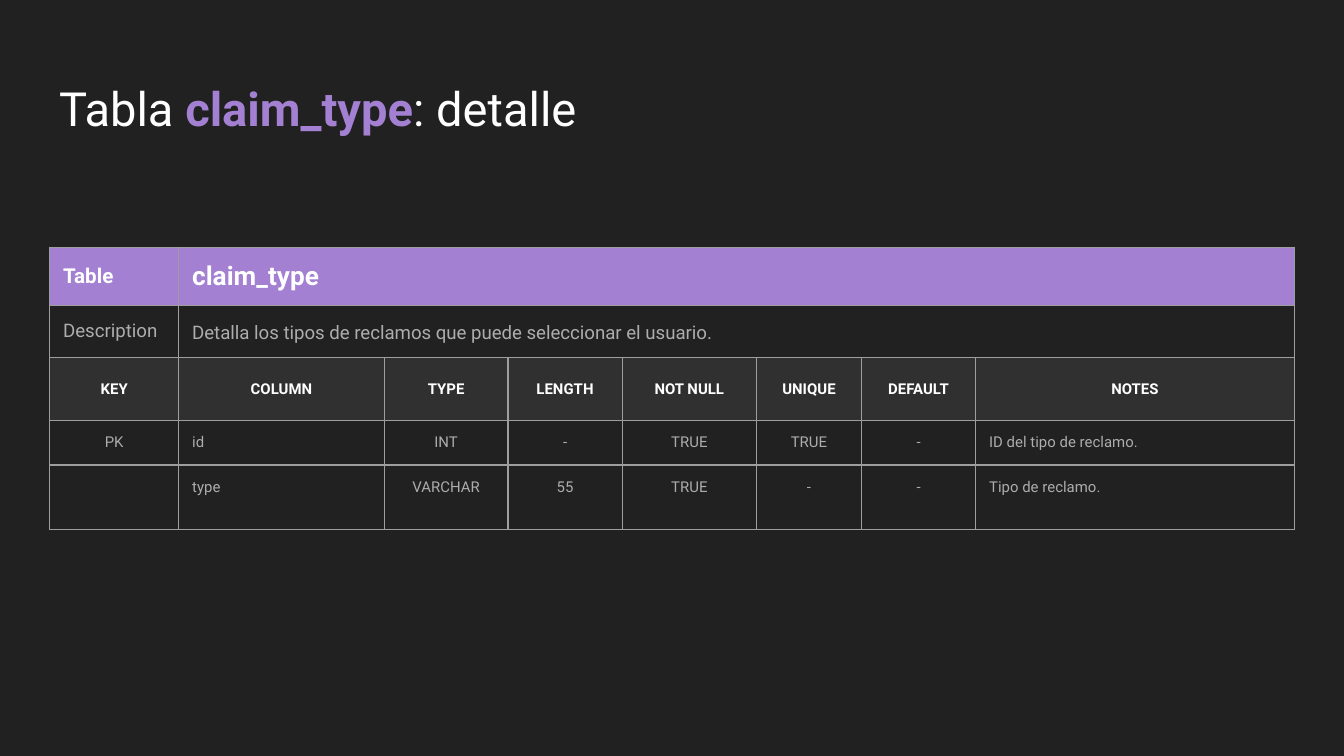
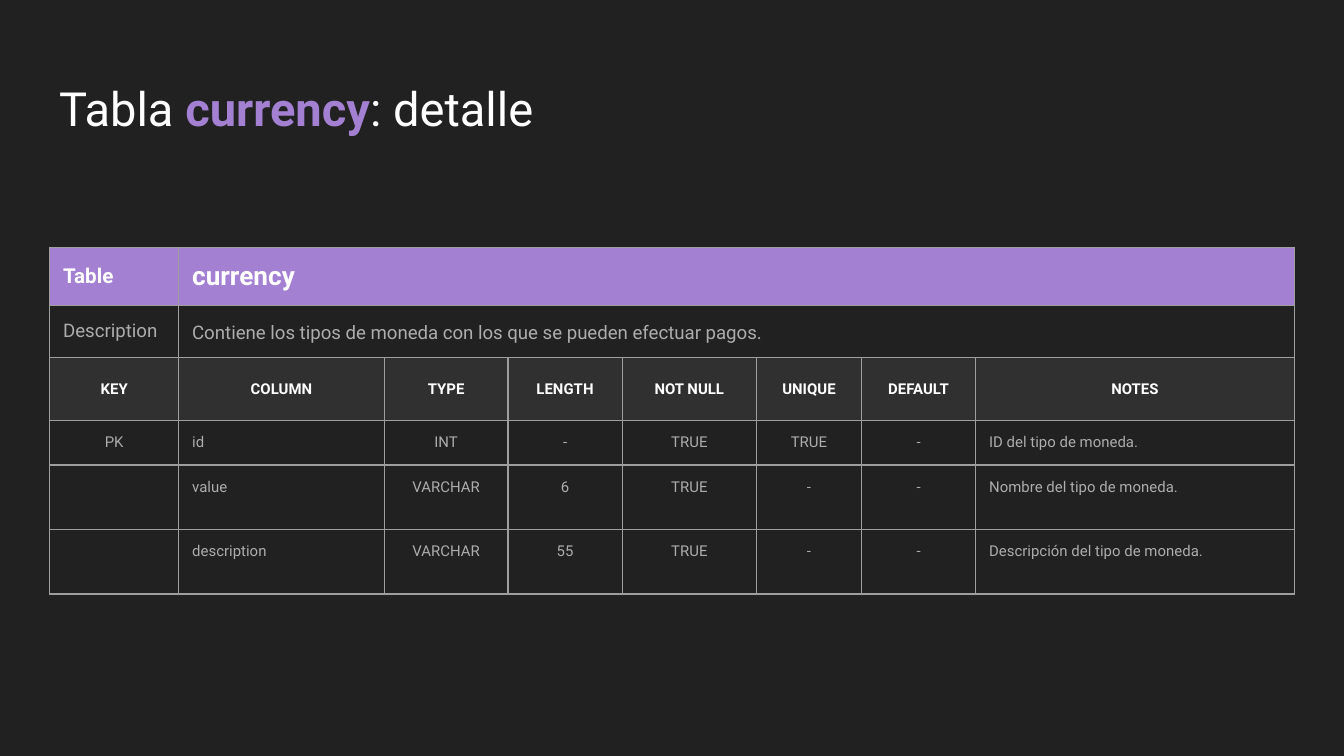
from dataclasses import dataclass

from lxml.etree import SubElement
from pptx import Presentation
from pptx.dml.color import RGBColor as RGB
from pptx.enum.text import MSO_ANCHOR as ANCHOR, MSO_AUTO_SIZE as AUTO_SIZE, PP_ALIGN as ALIGN
from pptx.oxml.ns import qn
from pptx.util import Inches, Pt


@dataclass(frozen=True)
class Theme:
    font: str = "Roboto"
    background: str = "212121"
    header: str = "303030"
    accent: str = "A380D1"
    white: str = "FFFFFF"
    muted: str = "ADADAD"
    border: str = "9E9E9E"
    border_width: float = 0.75
    title_size: float = 25.2
    name_size: int = 14
    label_size: int = 11
    description_size: int = 10
    grid_size: int = 8


THEME = Theme()
TITLE_ONLY = 5
SLIDE_WIDTH = Inches(10)
SLIDE_HEIGHT = SLIDE_WIDTH * 9 // 16
TABLE_LEFT, TABLE_TOP = 0.37, 1.84
INSET = Inches(0.1)
MARGINS = {f"margin_{side}": INSET for side in ("left", "top", "right", "bottom")}

HEADINGS = ("KEY", "COLUMN", "TYPE", "LENGTH", "NOT NULL", "UNIQUE", "DEFAULT", "NOTES")
COLUMN_WIDTHS = (0.96, 1.53, 0.92, 0.85, 1, 0.78, 0.85, 2.37)
LEFT_ALIGNED = ("COLUMN", "NOTES")
TOP_HEIGHTS = (0.43, 0.39, 0.47)
KEY_HEIGHT, FIELD_HEIGHT = 0.33, 0.48

ENTITIES = (
    (
        "claim_type",
        "Detalla los tipos de reclamos que puede seleccionar el usuario.",
        (
            ("PK", "id", "INT", "-", "TRUE", "TRUE", "-", "ID del tipo de reclamo."),
            ("", "type", "VARCHAR", "55", "TRUE", "-", "-", "Tipo de reclamo."),
        ),
    ),
    (
        "currency",
        "Contiene los tipos de moneda con los que se pueden efectuar pagos.",
        (
            ("PK", "id", "INT", "-", "TRUE", "TRUE", "-", "ID del tipo de moneda."),
            ("", "value", "VARCHAR", "6", "TRUE", "-", "-", "Nombre del tipo de moneda."),
            ("", "description", "VARCHAR", "55", "TRUE", "-", "-",
             "Descripción del tipo de moneda."),
        ),
    ),
)


def set_values(target, values):
    for name, value in values.items():
        setattr(target, name, value)


def add_run(paragraph, text, size, color, bold=False):
    run = paragraph.add_run()
    run.text = text
    set_values(run.font, {"name": THEME.font, "size": Pt(size), "bold": bold})
    run.font.color.rgb = RGB.from_string(color)


def add_title(slide, entity_name):
    title = slide.shapes.title
    set_values(title, {"left": Inches(0.34), "top": Inches(0.49),
                       "width": Inches(9.32), "height": Inches(0.63)})
    set_values(title.text_frame, {**MARGINS, "word_wrap": True, "auto_size": AUTO_SIZE.NONE,
                                  "vertical_anchor": ANCHOR.TOP})
    paragraph = title.text_frame.paragraphs[0]
    paragraph.alignment = ALIGN.LEFT
    add_run(paragraph, "Tabla ", THEME.title_size, THEME.white)
    add_run(paragraph, entity_name, THEME.title_size, THEME.accent, True)
    add_run(paragraph, ": detalle", THEME.title_size, THEME.white)


def add_borders(cell):
    properties = cell._tc.get_or_add_tcPr()
    for side in ("lnL", "lnR", "lnT", "lnB"):
        line = SubElement(properties, qn(f"a:{side}"), w=str(Pt(THEME.border_width)))
        fill = SubElement(line, qn("a:solidFill"))
        SubElement(fill, qn("a:srgbClr"), val=THEME.border)


def format_cell(cell, fill=None):
    add_borders(cell)
    if fill:
        cell.fill.solid()
        cell.fill.fore_color.rgb = RGB.from_string(fill)
    else:
        cell.fill.background()


def write_cell(cell, text, size, color, bold=False, align=ALIGN.LEFT, anchor=ANCHOR.MIDDLE):
    set_values(cell, {**MARGINS, "vertical_anchor": anchor})
    paragraph = cell.text_frame.paragraphs[0]
    paragraph.alignment = align
    add_run(paragraph, text, size, color, bold)
    return paragraph


def add_entity_table(slide, name, description, fields):
    heights = TOP_HEIGHTS + (KEY_HEIGHT,) + (FIELD_HEIGHT,) * (len(fields) - 1)
    frame = slide.shapes.add_table(
        len(heights), len(COLUMN_WIDTHS), Inches(TABLE_LEFT), Inches(TABLE_TOP),
        Inches(sum(COLUMN_WIDTHS)), Inches(sum(heights)))
    table = frame.table
    set_values(table, {"first_row": False, "horz_banding": False})
    for column, width in zip(table.columns, COLUMN_WIDTHS):
        column.width = Inches(width)
    row_fills = {0: THEME.accent, 2: THEME.header}
    for index, (row, height) in enumerate(zip(table.rows, heights)):
        row.height = Inches(height)
        for cell in row.cells:
            format_cell(cell, row_fills.get(index))
    for index in (0, 1):
        table.cell(index, 1).merge(table.cell(index, len(HEADINGS) - 1))

    write_cell(table.cell(0, 0), "Table", THEME.label_size, THEME.white, True)
    write_cell(table.cell(0, 1), name, THEME.name_size, THEME.white, True)
    write_cell(table.cell(1, 0), "Description", THEME.description_size, THEME.muted)
    paragraph = write_cell(table.cell(1, 1), description, THEME.description_size, THEME.muted)
    set_values(paragraph, {"line_spacing": 1.15, "space_after": Pt(12)})

    for column, heading in enumerate(HEADINGS):
        write_cell(table.cell(2, column), heading, THEME.grid_size, THEME.white, True,
                   ALIGN.CENTER)
        align = ALIGN.LEFT if heading in LEFT_ALIGNED else ALIGN.CENTER
        for row, field in enumerate(fields, start=3):
            if field[column]:
                write_cell(table.cell(row, column), field[column], THEME.grid_size,
                           THEME.muted, align=align, anchor=ANCHOR.TOP)


def main():
    presentation = Presentation()
    set_values(presentation, {"slide_width": SLIDE_WIDTH, "slide_height": SLIDE_HEIGHT})
    background = presentation.slide_master.background.fill
    background.solid()
    background.fore_color.rgb = RGB.from_string(THEME.background)
    for name, description, fields in ENTITIES:
        slide = presentation.slides.add_slide(presentation.slide_layouts[TITLE_ONLY])
        add_title(slide, name)
        add_entity_table(slide, name, description, fields)
    presentation.save("out.pptx")


if __name__ == "__main__":
    main()
